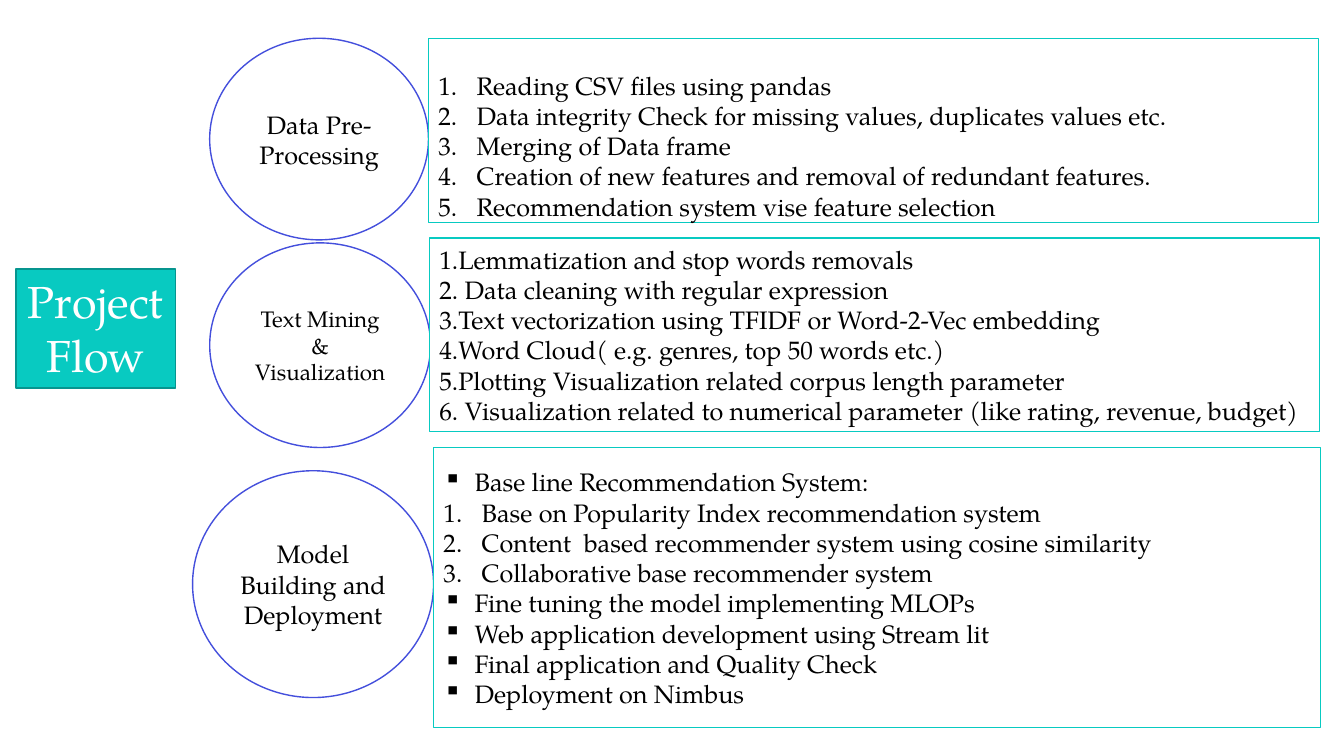
import pptx
import pptx.util
import pptx.dml.color
import pptx.enum.shapes
import pptx.enum.text
import pptx.oxml
import pptx.oxml.ns

Inches, Pt = pptx.util.Inches, pptx.util.Pt
SHAPE = pptx.enum.shapes.MSO_SHAPE
ALIGN = pptx.enum.text.PP_ALIGN
ANCHOR = pptx.enum.text.MSO_ANCHOR

FONT = "TeX Gyre Pagella"
COLORS = {"white": "FFFFFF", "black": "000000", "teal": "08CAC1",
          "dark_teal": "06958F", "indigo": "444FDC"}
MARKS = {"number": (0.38, '<a:buAutoNum {} type="arabicPeriod"/>'),
         "square": (0.31, '<a:buChar {} char="▪"/>')}

STAGES = [
    ("Data Pre-Processing", 18, (2.08, 0.38, 2.17, 2)),
    ("Text Mining & Visualization", 16, (2.08, 2.41, 2.19, 2.03)),
    ("Model Building and Deployment", 18, (1.91, 4.67, 2.39, 2.25)),
]
DETAILS = [
    ((4.25, 0.38, 8.83, 1.83), {"margin_top": Inches(0.3), "margin_bottom": 0}, [
        ("number", "Reading CSV files using pandas"),
        ("number", "Data integrity Check for missing values, duplicates values etc."),
        ("number", "Merging of Data frame"),
        ("number", "Creation of new features and removal of redundant features."),
        ("number", "Recommendation system vise feature selection"),
    ]),
    ((4.26, 2.36, 8.83, 1.92), {}, [
        (None, "1.Lemmatization and stop words removals"),
        (None, "2. Data cleaning with regular expression"),
        (None, "3.Text vectorization using TFIDF or Word-2-Vec embedding"),
        (None, "4.Word Cloud( e.g. genres, top 50 words etc.)"),
        (None, "5.Plotting Visualization related corpus length parameter"),
        (None, "6. Visualization related to numerical parameter (like rating, revenue, budget)"),
    ]),
    ((4.3, 4.44, 8.8, 2.78), {}, [
        ("square", "Base line Recommendation System:"),
        ("number", "Base on Popularity Index recommendation system"),
        ("number", "Content  based recommender system using cosine similarity"),
        ("number", "Collaborative base recommender system"),
        ("square", "Fine tuning the model implementing MLOPs"),
        ("square", "Web application development using Stream lit"),
        ("square", "Final application and Quality Check"),
        ("square", "Deployment on Nimbus"),
    ]),
]
TITLE = ("Project Flow", 32, (0.16, 2.67, 1.58, 1.18))


def rgb(name):
    return pptx.dml.color.RGBColor.from_string(COLORS[name])


def set_mark(p, mark):
    indent, xml = MARKS[mark]
    pPr = p._p.get_or_add_pPr()
    pPr.set("marL", str(Inches(indent)))
    pPr.set("indent", str(-Inches(indent)))
    pPr.append(pptx.oxml.parse_xml(xml.format(pptx.oxml.ns.nsdecls("a"))))


def add_box(shapes, kind, box, lines, size=18, fill="white", line="teal",
            color="black", align=ALIGN.LEFT, frame=None):
    s = shapes.add_shape(kind, *map(Inches, box))
    s.shadow.inherit = False
    s.fill.solid()
    s.fill.fore_color.rgb = rgb(fill)
    s.line.color.rgb = rgb(line)
    s.line.width = Pt(1)
    tf = s.text_frame
    settings = {"word_wrap": True, "vertical_anchor": ANCHOR.MIDDLE, **(frame or {})}
    for name, value in settings.items():
        setattr(tf, name, value)
    for i, (mark, text) in enumerate(lines):
        p = tf.add_paragraph() if i else tf.paragraphs[0]
        p.alignment = align
        if mark:
            set_mark(p, mark)
        r = p.add_run()
        r.text = text
        for name, value in {"name": FONT, "size": Pt(size)}.items():
            setattr(r.font, name, value)
        r.font.color.rgb = rgb(color)


def main():
    prs = pptx.Presentation()
    prs.slide_width, prs.slide_height = Inches(13.33), Inches(7.5)
    shapes = prs.slides.add_slide(prs.slide_layouts[6]).shapes
    for text, size, box in STAGES:
        add_box(shapes, SHAPE.OVAL, box, [(None, text)], size,
                line="indigo", align=ALIGN.CENTER)
    for box, frame, lines in DETAILS:
        add_box(shapes, SHAPE.RECTANGLE, box, lines, frame=frame)
    text, size, box = TITLE
    add_box(shapes, SHAPE.RECTANGLE, box, [(None, text)], size, fill="teal",
            line="dark_teal", color="white", align=ALIGN.CENTER,
            frame={"vertical_anchor": ANCHOR.TOP})
    prs.save("out.pptx")


if __name__ == "__main__":
    main()
